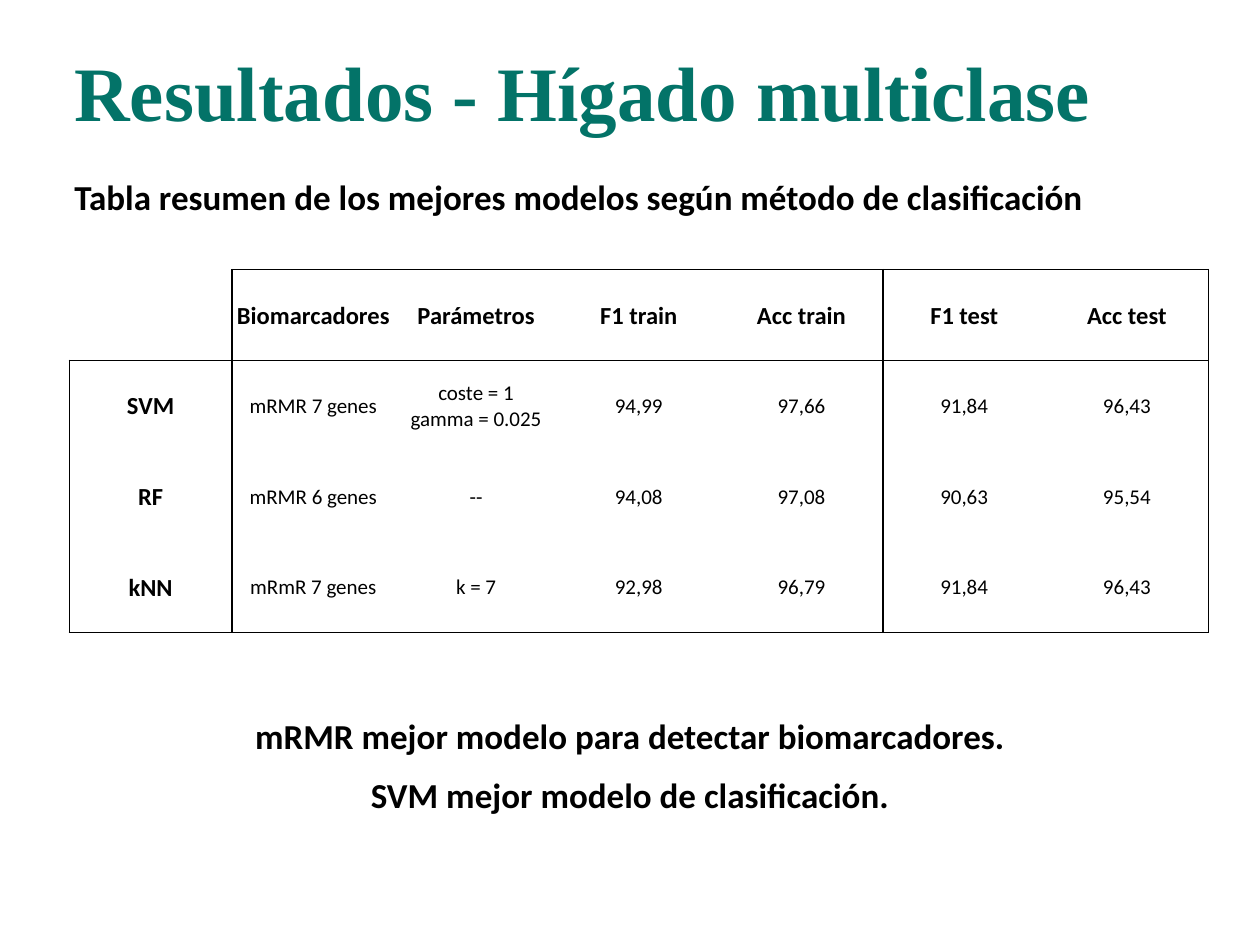
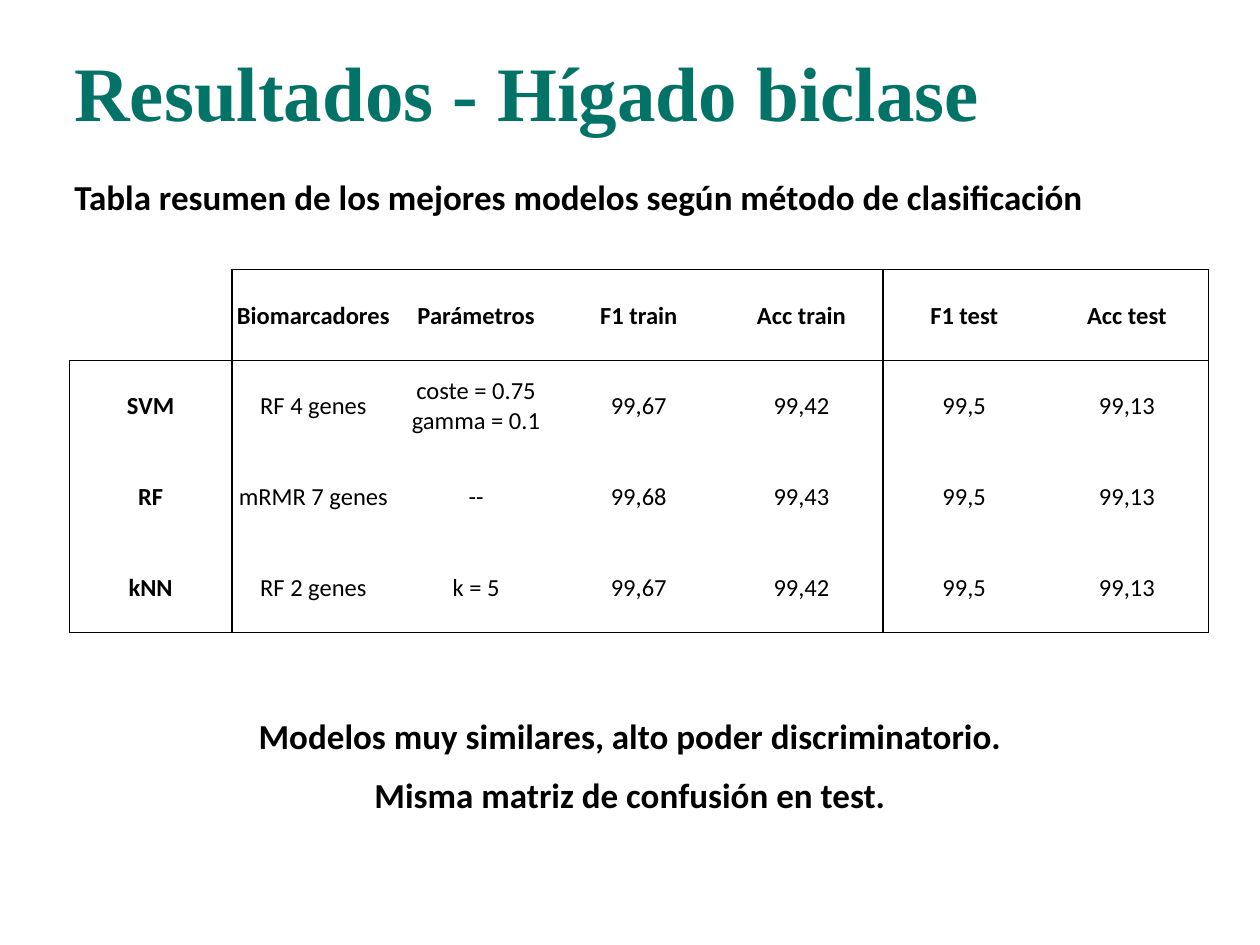
from lxml import etree
from pptx import Presentation
from pptx.dml.color import RGBColor
from pptx.enum.text import MSO_ANCHOR, MSO_AUTO_SIZE, PP_ALIGN
from pptx.oxml.ns import qn
from pptx.util import Inches, Pt

LEFT, CENTER = PP_ALIGN.LEFT, PP_ALIGN.CENTER
TOP, MIDDLE = MSO_ANCHOR.TOP, MSO_ANCHOR.MIDDLE
NO_FIT = MSO_AUTO_SIZE.NONE
GREEN, BLACK, WHITE = "037368", "000000", "FFFFFF"
SERIF, SANS = "Times New Roman", "Calibri"
PAD = (0.59, 0.05, 0.59, 0.05)
TITLE_BOX = (0, 0, 10, 1.34)
LEAD_BOX = (0, 1.34, 10, 0.53)
TABLE_BOX = (0.55, 2.14, 9.04, 2.88)
END_BOX = (0, 5.62, 10, 0.91)
LEAD = "Tabla resumen de los mejores modelos según método de clasificación"
HEAD = ["", "Biomarcadores", "Parámetros", "F1 train", "Acc train", "F1 test", "Acc test"]
RULES = (0, 1, 5, 7)

SLIDES = [
    dict(
        title="Resultados - Hígado multiclase",
        rows=[
            ["SVM", "mRMR 7 genes", "coste = 1\ngamma = 0.025", "94,99", "97,66", "91,84", "96,43"],
            ["RF", "mRMR 6 genes", "--", "94,08", "97,08", "90,63", "95,54"],
            ["kNN", "mRmR 7 genes", "k = 7", "92,98", "96,79", "91,84", "96,43"],
        ],
        size=12,
        end="mRMR mejor modelo para detectar biomarcadores.\nSVM mejor modelo de clasificación.",
    ),
    dict(
        title="Resultados - Hígado biclase",
        rows=[
            ["SVM", "RF 4 genes", "coste = 0.75\ngamma = 0.1", "99,67", "99,42", "99,5", "99,13"],
            ["RF", "mRMR 7 genes", "--", "99,68", "99,43", "99,5", "99,13"],
            ["kNN", "RF 2 genes", "k = 5", "99,67", "99,42", "99,5", "99,13"],
        ],
        size=14,
        end="Modelos muy similares, alto poder discriminatorio.\nMisma matriz de confusión en test.",
    ),
]


def color(code):
    """Turn a hex string into a colour."""
    return RGBColor.from_string(code)


def write(frame, text, size=20, font=SANS, ink=BLACK, bold=True, align=LEFT, gap=0, line=1):
    """Fill a text frame, one paragraph for each line of text."""
    frame.text = text
    for i, para in enumerate(frame.paragraphs):
        props = para._p.get_or_add_pPr()
        props.set("marL", "0")
        props.set("indent", "0")
        etree.SubElement(props, qn("a:buNone"))
        para.alignment = align
        para.line_spacing = line
        para.space_before = Pt(gap if i else 0)
        for run in para.runs:
            run.font.size = Pt(size)
            run.font.name = font
            run.font.bold = bold
            run.font.color.rgb = color(ink)


def place(shape, box, pad=PAD, anchor=TOP):
    """Set the box, insets and anchor of a text shape and return its frame."""
    shape.left, shape.top, shape.width, shape.height = map(Inches, box)
    frame = shape.text_frame
    frame.word_wrap = True
    frame.auto_size = NO_FIT
    frame.vertical_anchor = anchor
    (frame.margin_left, frame.margin_top,
     frame.margin_right, frame.margin_bottom) = map(Inches, pad)
    return frame


def edge(cell, side, shown):
    """Draw or clear one border of a cell."""
    line = etree.SubElement(cell._tc.get_or_add_tcPr(), qn("a:ln" + side), w=str(Pt(1)))
    if shown:
        fill = etree.SubElement(line, qn("a:solidFill"))
        etree.SubElement(fill, qn("a:srgbClr"), val=BLACK)
    else:
        etree.SubElement(line, qn("a:noFill"))


def frame_cell(cell, row, col):
    """Rule a cell around the header, the names and the train and test groups."""
    corner = row == 0 and col == 0
    edge(cell, "L", col in RULES and not corner)
    edge(cell, "R", col + 1 in RULES)
    edge(cell, "T", row in (0, 1) and not corner)
    edge(cell, "B", row in (0, 3))


def add_grid(slide, box, rows, size):
    """Add the table of models with equal rows and columns."""
    table = slide.shapes.add_table(len(rows), len(HEAD), *map(Inches, box)).table
    table.first_row = table.horz_banding = False
    for r, row in enumerate(rows):
        for c, text in enumerate(row):
            cell = table.cell(r, c)
            frame_cell(cell, r, c)
            cell.fill.solid()
            cell.fill.fore_color.rgb = color(WHITE)
            cell.vertical_anchor = MIDDLE
            cell.margin_left = cell.margin_right = cell.margin_top = Inches(0.01)
            cell.margin_bottom = 0
            label = r == 0 or c == 0
            write(cell.text_frame, text, size=14 if label else size, bold=label, align=CENTER)


def add_slide(deck, title, rows, size, end):
    """Add a results slide: title, lead, table and closing lines."""
    slide = deck.slides.add_slide(deck.slide_layouts[1])
    head = place(slide.shapes.title, TITLE_BOX, (0.59, 0.24, 0.1, 0.05), MIDDLE)
    write(head, title, size=44, font=SERIF, ink=GREEN, line=0.9)
    write(place(slide.placeholders[1], LEAD_BOX), LEAD)
    add_grid(slide, TABLE_BOX, [HEAD] + rows, size)
    note = slide.shapes.add_textbox(*map(Inches, END_BOX))
    write(place(note, END_BOX), end, align=CENTER, gap=10)


def main():
    """Build and save the deck."""
    deck = Presentation()
    deck.slide_width, deck.slide_height = Inches(10), Inches(7.5)
    for data in SLIDES:
        add_slide(deck, **data)
    deck.save("out.pptx")


if __name__ == "__main__":
    main()
